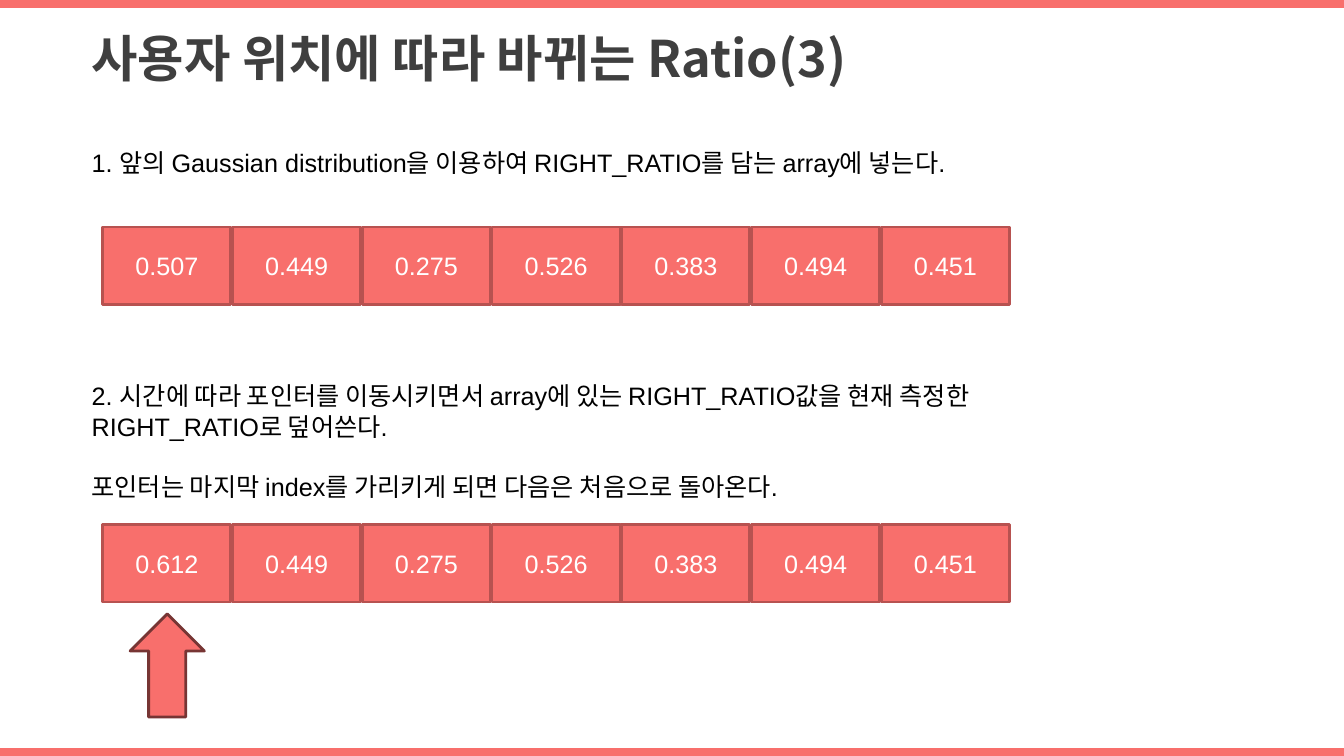
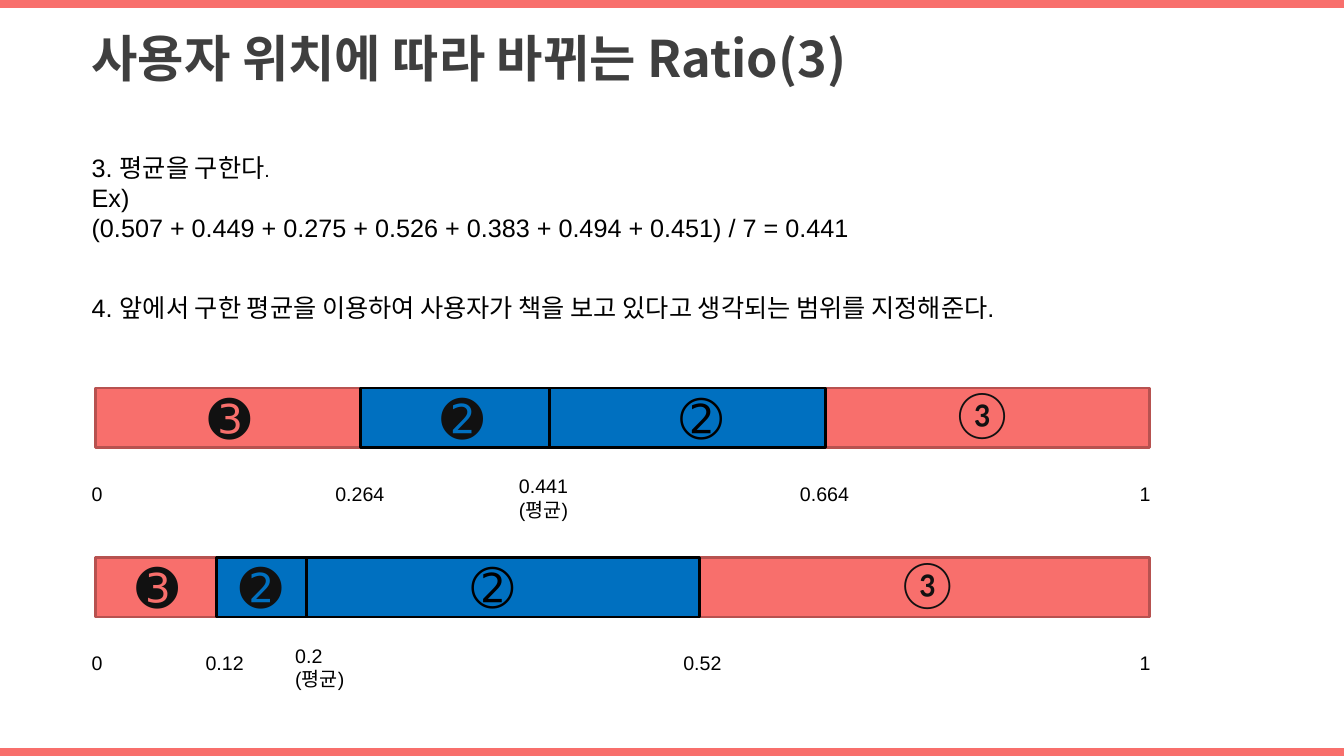
from pptx import Presentation
from pptx import util as u
from pptx.dml.color import RGBColor
from pptx.enum import shapes, text

WIDTH, HEIGHT = 33.87, 19.05
MARGIN = 2.06
TITLE = "사용자 위치에 따라 바뀌는 Ratio(3)"


def color(hex_string):
    return RGBColor.from_string(hex_string)


class Deck:
    """Holds the shared style and the current slide; lengths are in cm."""

    CORAL, CORAL_EDGE, ARROW_EDGE = "F86F6C", "B75250", "773534"
    BLUE, BLACK, WHITE = "0070C0", "000000", "FFFFFF"
    TITLE_COLOR, MARK_COLOR = "3F3F3F", "111111"
    BODY_FONT, TITLE_FONT, MARK_FONT = "Arial", "Noto Sans CJK KR", "Lato"
    BAND_HEIGHT = 0.2

    def __init__(self):
        self.presentation = Presentation()
        self.presentation.slide_width = u.Cm(WIDTH)
        self.presentation.slide_height = u.Cm(HEIGHT)
        self.slide = None

    def new_slide(self, title):
        self.slide = self.presentation.slides.add_slide(self.presentation.slide_layouts[6])
        for top in (0, HEIGHT - self.BAND_HEIGHT):
            self.shape(0, top, WIDTH, self.BAND_HEIGHT, self.CORAL)
        self.text_box(MARGIN, 0.56, 20.42, 1.8, [title], 36,
                      self.TITLE_FONT, self.TITLE_COLOR, bold=True)

    def run(self, paragraph, words, size, font, hex_string, bold=False):
        run = paragraph.add_run()
        run.text = words
        run.font.size = u.Pt(size)
        run.font.name = font
        run.font.bold = bold
        run.font.color.rgb = color(hex_string)

    def shape(self, left, top, width, height, fill, edge=None,
              kind=shapes.MSO_SHAPE.RECTANGLE):
        shape = self.slide.shapes.add_shape(
            kind, u.Cm(left), u.Cm(top), u.Cm(width), u.Cm(height))
        shape.shadow.inherit = False
        shape.fill.solid()
        shape.fill.fore_color.rgb = color(fill)
        if edge:
            shape.line.color.rgb = color(edge)
            shape.line.width = u.Pt(2)
        else:
            shape.line.fill.background()
        return shape

    def text_box(self, left, top, width, height, lines, size, font=BODY_FONT,
                 hex_string=BLACK, bold=False, wrap=True, gap=0):
        """Each line is a string, or a list of (words, size) runs."""
        box = self.slide.shapes.add_textbox(
            u.Cm(left), u.Cm(top), u.Cm(width), u.Cm(height))
        frame = box.text_frame
        frame.word_wrap = wrap
        frame.auto_size = text.MSO_AUTO_SIZE.SHAPE_TO_FIT_TEXT
        for index, line in enumerate(lines):
            paragraph = frame.add_paragraph() if index else frame.paragraphs[0]
            if index and gap:
                paragraph.space_before = u.Pt(gap)
            runs = [(line, size)] if isinstance(line, str) else line
            for words, run_size in runs:
                self.run(paragraph, words, run_size, font, hex_string, bold)

    def array_row(self, top, values):
        left, pitch, width = 2.59, 3.27, 3.23
        for index, value in enumerate(values):
            cell = self.shape(left + index * pitch, top, width, 1.96,
                              self.CORAL, self.CORAL_EDGE)
            cell.text_frame.vertical_anchor = text.MSO_ANCHOR.MIDDLE
            paragraph = cell.text_frame.paragraphs[0]
            paragraph.alignment = text.PP_ALIGN.CENTER
            self.run(paragraph, value, 18, self.BODY_FONT, self.WHITE)

    def range_bar(self, top, edges, mark_lefts, labels):
        """A coral bar with two blue parts between the three edges."""
        height = 1.5
        self.shape(2.41, top, 26.57, height, self.CORAL, self.CORAL_EDGE)
        for start, end in zip(edges, edges[1:]):
            self.shape(start, top, end - start, height, self.BLUE, self.BLACK)

        # Marks inside the four parts
        marks = (("➌", 36, 1.55, self.MARK_FONT, self.MARK_COLOR),
                 ("➋", 36, 1.55, self.MARK_FONT, self.MARK_COLOR),
                 ("➁", 36, 1.47, self.BODY_FONT, self.BLACK),
                 ("③", 32, 1.65, self.MARK_FONT, self.MARK_COLOR))
        for left, (mark, size, width, font, hex_string) in zip(mark_lefts, marks):
            self.text_box(left, top - 0.15, width, 1.8, [mark], size,
                          font, hex_string, wrap=False)

        # Values below the bar; the mean has a second line
        for left, lines in labels:
            offset = 2.05 if len(lines) > 1 else 2.23
            self.text_box(left, top + offset, 2.06, 0.86, lines, 14)


def main():
    deck = Deck()

    # Slide 1: filling and overwriting the array
    deck.new_slide(TITLE)
    deck.text_box(MARGIN, 3.58, 23.88, 1.02, [
        "1. 앞의 Gaussian distribution을 이용하여 RIGHT_RATIO를 담는 array에 넣는다."], 18)
    ratios = ["0.507", "0.449", "0.275", "0.526", "0.383", "0.494", "0.451"]
    deck.array_row(5.72, ratios)
    deck.text_box(MARGIN, 9.47, 23.62, 3.33, [
        "2. 시간에 따라 포인터를 이동시키면서 array에 있는 RIGHT_RATIO값을 현재 "
        "측정한 RIGHT_RATIO로 덮어쓴다.",
        "포인터는 마지막 index를 가리키게 되면 다음은 처음으로 돌아온다."], 18, gap=21.5)
    deck.array_row(13.21, ["0.612"] + ratios[1:])
    deck.shape(3.28, 15.47, 1.87, 2.6, deck.CORAL, deck.ARROW_EDGE,
               shapes.MSO_SHAPE.UP_ARROW)

    # Slide 2: the mean and the ranges around it
    deck.new_slide(TITLE)
    deck.text_box(MARGIN, 3.71, 20.14, 2.57, [
        [("3. 평균을 구한다", 18), (".", 14)],
        "Ex)",
        f"({' + '.join(ratios)}) / 7 = 0.441"], 18)
    deck.text_box(MARGIN, 7.24, 26.09, 1.02, [
        "4. 앞에서 구한 평균을 이용하여 사용자가 책을 보고 있다고 생각되는 범위를 지정해준다."], 18)
    ends = [(MARGIN, ["0"]), (28.47, ["1"])]
    deck.range_bar(9.78, (9.09, 13.84, 20.8), (5, 10.87, 16.89, 23.88), ends + [
        (8.2, ["0.264"]), (12.83, ["0.441", "(평균)"]), (19.91, ["0.664"])])
    deck.range_bar(14.05, (5.46, 7.72, 17.63), (3.18, 5.79, 11.63, 22.5), ends + [
        (4.93, ["0.12"]), (7.19, ["0.2", "(평균)"]), (16.97, ["0.52"])])

    deck.presentation.save("out.pptx")


if __name__ == "__main__":
    main()
